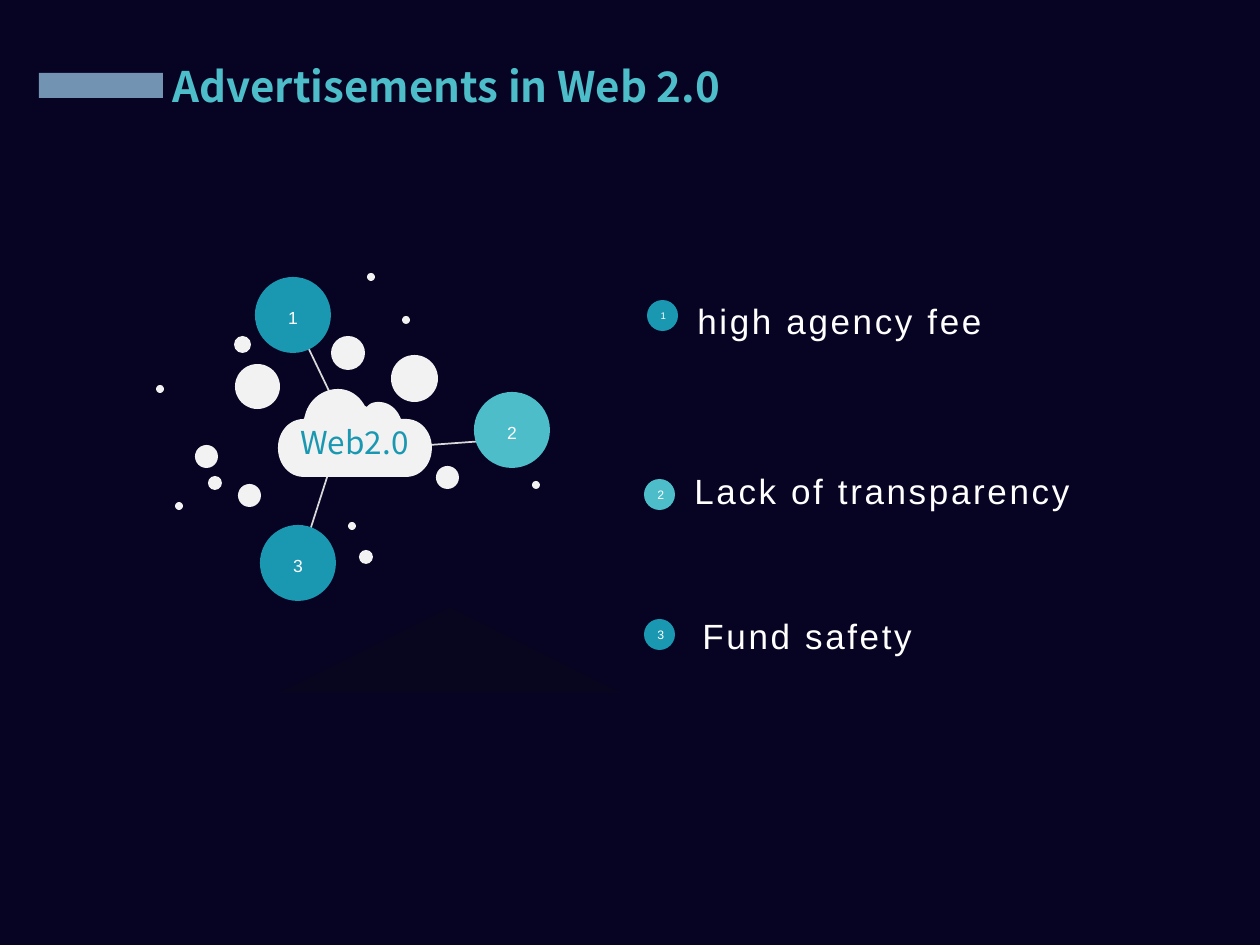
from pptx import Presentation, util as u
from pptx.dml.color import RGBColor
from pptx.enum import shapes, text
from pptx.oxml import ns
from lxml import etree


def px(*nums):
    return [u.Emu(round(n * 914400 / 126)) for n in nums]


def write(shape, words, size, color, font="Arial", line=1.0, align=text.PP_ALIGN.LEFT):
    frame = shape.text_frame
    frame.word_wrap = True
    frame.vertical_anchor = text.MSO_ANCHOR.MIDDLE
    para = frame.paragraphs[0]
    para.alignment = align
    para.line_spacing = line
    run = para.add_run()
    run.text = words
    run.font.size = u.Pt(size)
    run.font.name = font
    run.font.color.rgb = tone(color)
    return run


tone = RGBColor.from_string
NOTO = "Noto Sans CJK SC"
TEAL, AQUA, PALE, WHITE = "1A98B1", "4CBDC9", "F2F2F2", "FFFFFF"
CENTER = text.PP_ALIGN.CENTER
KINDS = shapes.MSO_SHAPE

deck = Presentation()
deck.slide_width, deck.slide_height = px(1260, 945)
slide = deck.slides.add_slide(deck.slide_layouts[5])
slide.background.fill.solid()
slide.background.fill.fore_color.rgb = tone("070323")
items = slide.shapes

title = items.title
title.left, title.top, title.width, title.height = px(160, 60, 582, 58)
run = write(title, "Advertisements in Web 2.0", 24, AQUA, NOTO, 0.9)
run.font.bold = True

peak = items.add_shape(KINDS.ISOSCELES_TRIANGLE, *px(278, 607, 344, 86))
peak.shadow.inherit = False
peak.line.fill.background()
peak.fill.solid()
peak.fill.fore_color.rgb = tone("0D0D0D")
tint = peak._element.spPr.find(".//" + ns.qn("a:srgbClr"))
etree.SubElement(tint, ns.qn("a:alpha")).set("val", "20000")

for ends in [(306, 343, 330, 393), (484, 441, 416, 446), (331, 465, 306, 543)]:
    link = items.add_connector(shapes.MSO_CONNECTOR.STRAIGHT, *px(*ends))
    link.line.color.rgb = tone("D9D9D9")
    link.line.width = u.Pt(1)
    etree.SubElement(link._element.spPr, ns.qn("a:effectLst"))

curves = [
    [(338, 389), (349, 389), (359, 395), (365, 406)],
    [(367, 407), (370, 403), (374, 402), (379, 402)],
    [(379, 402), (388, 402), (397, 408), (401, 419)],
    [(406, 419), (421, 419), (432, 432), (432, 448)],
    [(432, 448), (432, 464), (421, 477), (406, 477)],
    [(304, 477), (289, 477), (278, 464), (278, 448)],
    [(278, 448), (278, 432), (289, 419), (304, 419)],
    [(306, 412), (311, 398), (324, 389), (338, 389)],
]
edge = []
for curve in curves:
    for step in range(13):
        t = step / 12
        parts = [(1 - t) ** 3, 3 * t * (1 - t) ** 2, 3 * t * t * (1 - t), t ** 3]
        edge.append(px(*[sum(w * p[axis] for w, p in zip(parts, curve)) for axis in (0, 1)]))
pen = items.build_freeform(*edge[0])
pen.add_line_segments(edge[1:], close=True)
cloud = pen.convert_to_shape()
cloud.shadow.inherit = False
cloud.line.fill.background()
cloud.fill.solid()
cloud.fill.fore_color.rgb = tone(PALE)

nodes = [(255, 277, "1", TEAL), (474, 392, "2", AQUA), (260, 525, "3", TEAL)]
marks = [(647, 300, "1", TEAL, 5.5), (644, 479, "2", AQUA, 7), (644, 619, "3", TEAL, 7)]
dots = [
    (235, 364, 45), (331, 336, 34), (238, 484, 23), (436, 466, 23),
    (195, 445, 23), (391, 355, 47), (208, 476, 14), (234, 336, 17),
    (367, 273, 8), (402, 316, 8), (156, 385, 8), (532, 481, 8),
    (348, 522, 8), (359, 550, 14), (175, 502, 8),
]
discs = [(x, y, 76, fill, word, 10) for x, y, word, fill in nodes]
discs += [(x, y, size, PALE, "", 0) for x, y, size in dots]
discs += [(x, y, 31, fill, word, size) for x, y, word, fill, size in marks]

for x, y, size, fill, word, height in discs:
    disc = items.add_shape(KINDS.OVAL, *px(x, y, size, size))
    disc.shadow.inherit = False
    disc.line.fill.background()
    disc.fill.solid()
    disc.fill.fore_color.rgb = tone(fill)
    if word:
        write(disc, word, height, WHITE, line=1.2 if size == 76 else 1.0, align=CENTER)
    if size == 31:
        frame = disc.text_frame
        frame.margin_left = frame.margin_right = px(9)[0]
        frame.margin_top = frame.margin_bottom = px(5)[0]

for x, y, wide, words in [
    (685, 288, 489, "high agency fee"),
    (682, 458, 529, "Lack of transparency"),
    (690, 603, 510, "Fund safety"),
]:
    run = write(items.add_textbox(*px(x, y, wide, 57)), words, 20, WHITE, line=1.2)
    run.font._element.set("spc", "150")

label = items.add_textbox(*px(288, 417, 137, 50))
write(label, "Web2.0", 18, TEAL, NOTO)
label.text_frame.word_wrap = False

badge = items.add_shape(KINDS.RECTANGLE, *px(39, 73, 124, 25))
badge.shadow.inherit = False
badge.line.fill.background()
badge.fill.solid()
badge.fill.fore_color.rgb = tone("7294B2")

deck.save("out.pptx")
